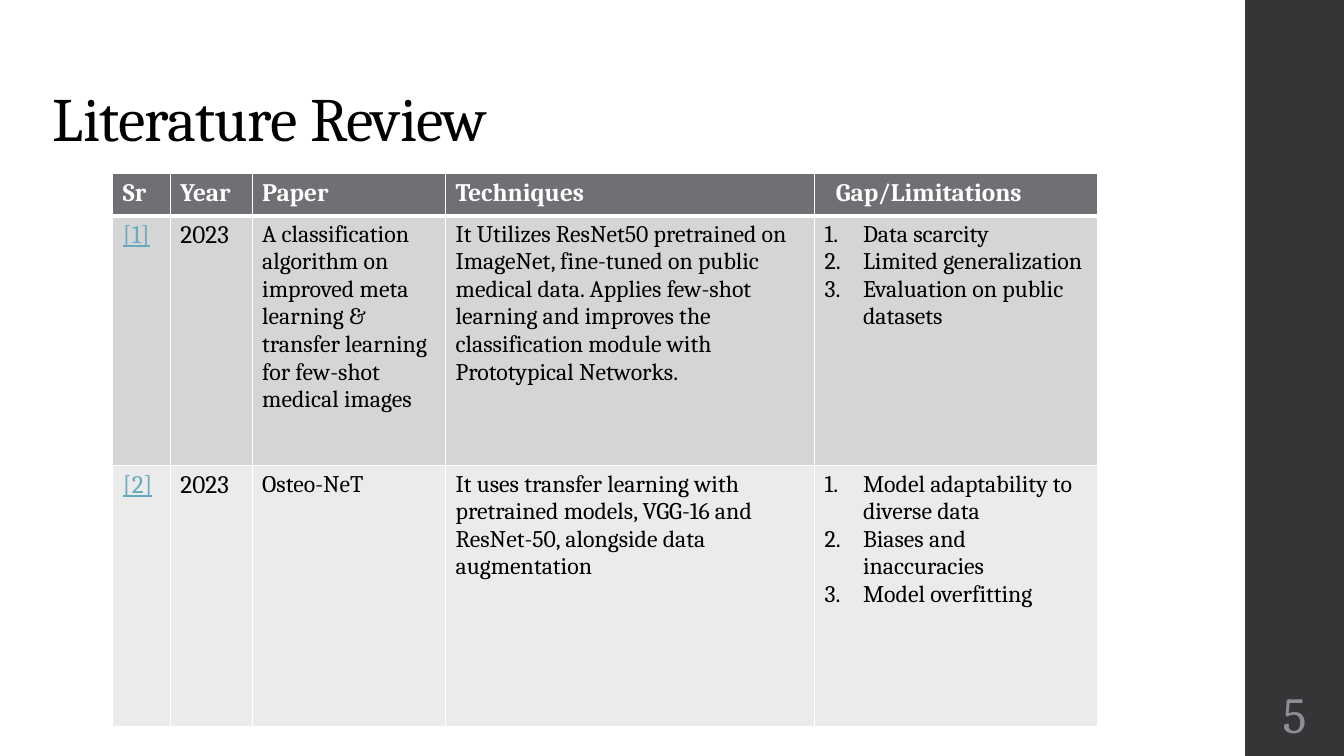
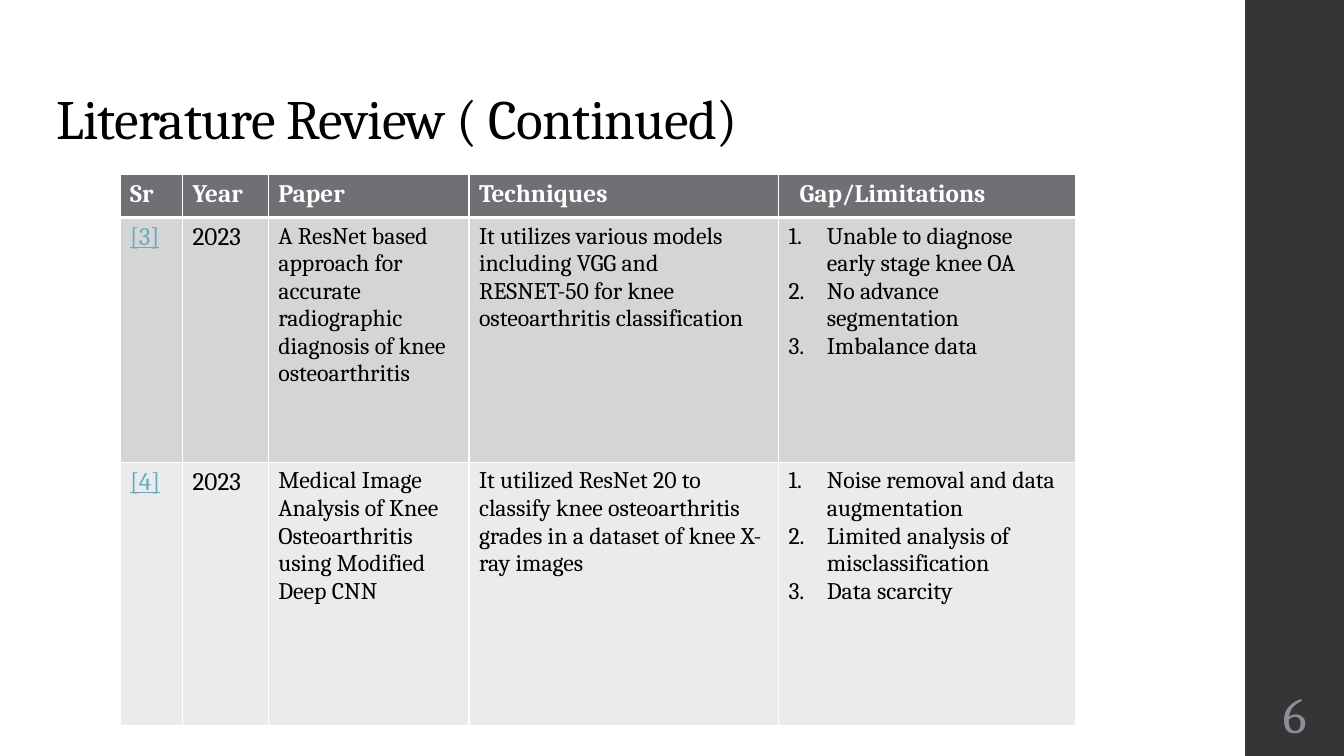
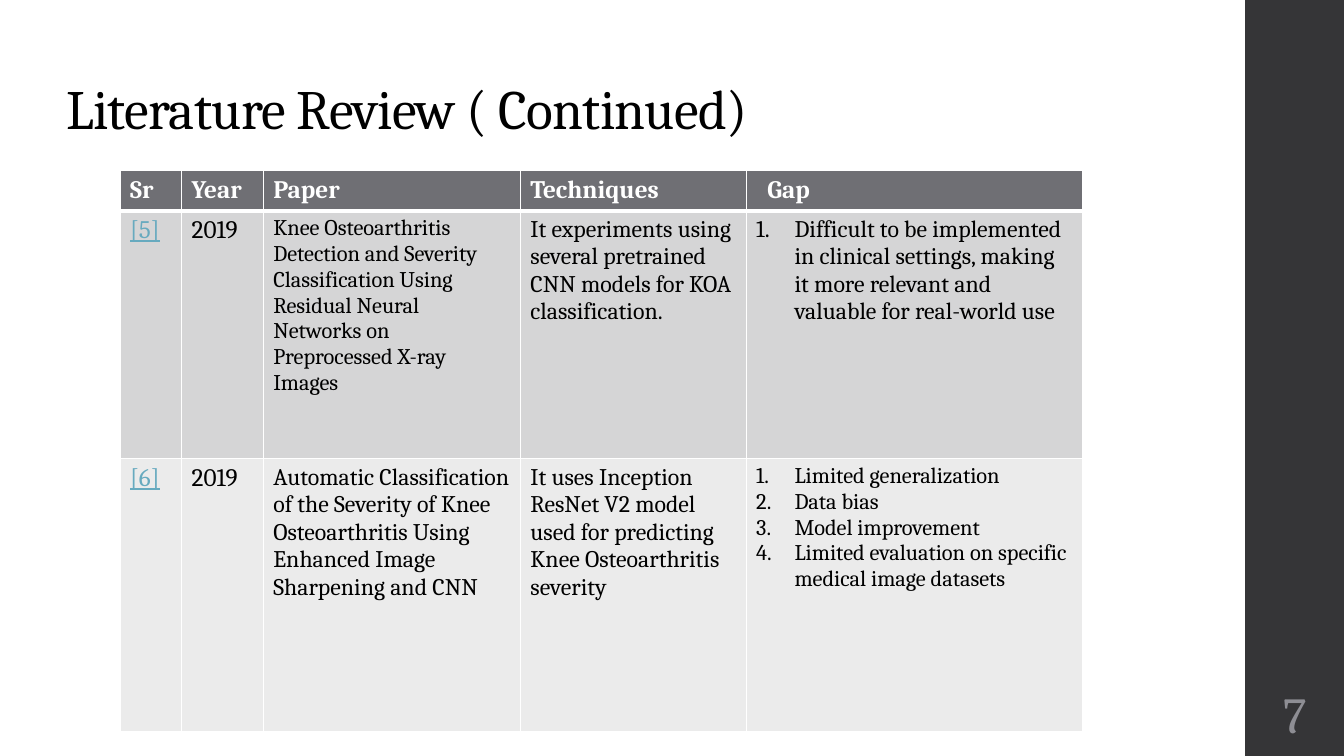
from lxml.etree import SubElement
from pptx import Presentation
from pptx.dml.color import RGBColor
from pptx.enum.shapes import MSO_SHAPE
from pptx.enum.text import MSO_ANCHOR, PP_ALIGN
from pptx.oxml.ns import qn
from pptx.util import Inches, Pt

# Shared look
FONT = "Cambria"
BLACK, WHITE, BAND, PAGE_NUMBER, LINK = "000000", "FFFFFF", "353537", "8E8E94", "67AABF"
ROW_FILLS = ["6F6F74", "D5D5D6", "EBEBEB"]
HEADINGS = ["Sr", "Year", "Paper", "Techniques"]
SR, GAP = 0, 4
BAND_LEFT, BAND_WIDTH = 92.65, 7.35
TITLE_HEIGHT = 11.9
LIST_INDENT = Inches(0.38)

# Positions and sizes are percentages of the slide's width or height
SLIDES = [
    {
        "number": 5,
        "title": "Literature Review",
        "title_size": 44,
        "title_place": (3.2, 9.2, 59.3),
        "table_place": (8.4, 22.95),
        "columns": [4.28, 6.08, 14.4, 27.46, 21.08],
        "rows": [5.6, 33.07, 34.5],
        "small_cells": [],
        "gap_heading": "Gap/Limitations",
        "papers": [
            ["[1]", "2023",
             "A classification algorithm on improved meta learning & transfer learning "
             "for few-shot medical images",
             "It Utilizes ResNet50 pretrained on ImageNet, fine-tuned on public medical data. "
             "Applies few-shot learning and improves the classification module with "
             "Prototypical Networks.",
             "Data scarcity\nLimited generalization\nEvaluation on public datasets"],
            ["[2]", "2023", "Osteo-NeT",
             "It uses transfer learning with pretrained models, VGG-16 and ResNet-50, "
             "alongside data augmentation",
             "Model adaptability to diverse data\nBiases and inaccuracies\nModel overfitting"],
        ],
    },
    {
        "number": 6,
        "title": "Literature Review ( Continued)",
        "title_size": 39.6,
        "title_place": (3.45, 8.8, 63.5),
        "table_place": (8.93, 23.07),
        "columns": [4.65, 6.38, 14.93, 23.03, 22.13],
        "rows": [5.7, 32.4, 34.8],
        "small_cells": [],
        "gap_heading": "Gap/Limitations",
        "papers": [
            ["[3]", "2023",
             "A ResNet based approach for accurate radiographic diagnosis of knee osteoarthritis",
             "It utilizes various models including VGG and RESNET-50 for knee osteoarthritis "
             "classification",
             "Unable to diagnose early stage knee OA\nNo advance segmentation\nImbalance data"],
            ["[4]", "2023",
             "Medical Image Analysis of Knee Osteoarthritis using Modified Deep CNN",
             "It utilized ResNet 20 to classify knee osteoarthritis grades in a dataset of "
             "knee X-ray images",
             "Noise removal and data augmentation\nLimited analysis of misclassification\n"
             "Data scarcity"],
        ],
    },
    {
        "number": 7,
        "title": "Literature Review ( Continued)",
        "title_size": 39.6,
        "title_place": (4.2, 7.5, 62),
        "table_place": (8.93, 22.53),
        "columns": [4.58, 6.08, 19.13, 16.8, 25.06],
        "rows": [5.2, 32.8, 36.13],
        "small_cells": [(1, 2), (2, 4)],
        "gap_heading": "Gap",
        "papers": [
            ["[5]", "2019",
             "Knee Osteoarthritis Detection and Severity Classification Using Residual Neural "
             "Networks on Preprocessed X-ray Images",
             "It experiments using several pretrained CNN models for KOA classification.",
             "Difficult to be implemented in clinical settings, making it more relevant and "
             "valuable for real-world use"],
            ["[6]", "2019",
             "Automatic Classification of the Severity of Knee Osteoarthritis Using Enhanced "
             "Image Sharpening and CNN",
             "It uses Inception ResNet V2 model used for predicting Knee Osteoarthritis severity",
             "Limited generalization\nData bias\nModel improvement\n"
             "Limited evaluation on specific medical image datasets"],
        ],
    },
]

presentation = Presentation()
presentation.slide_width = Inches(13.33)
presentation.slide_height = Inches(7.5)


def place(left, top, width, height):
    """Turn percentages of the slide into lengths."""
    across, down = presentation.slide_width / 100, presentation.slide_height / 100
    return round(left * across), round(top * down), round(width * across), round(height * down)


def style(text_frame, size, color, bold=False, underline=False):
    for paragraph in text_frame.paragraphs:
        for run in paragraph.runs:
            run.font.name = FONT
            run.font.size = Pt(size)
            run.font.bold = bold
            run.font.underline = underline
            run.font.color.rgb = RGBColor.from_string(color)


for content in SLIDES:
    slide = presentation.slides.add_slide(presentation.slide_layouts[6])

    # Side band
    band = slide.shapes.add_shape(MSO_SHAPE.RECTANGLE, *place(BAND_LEFT, 0, BAND_WIDTH, 100))
    band.shadow.inherit = False
    band.fill.solid()
    band.fill.fore_color.rgb = RGBColor.from_string(BAND)
    band.line.fill.background()

    # Title
    title = slide.shapes.add_textbox(*place(*content["title_place"], TITLE_HEIGHT)).text_frame
    title.word_wrap = True
    title.vertical_anchor = MSO_ANCHOR.BOTTOM
    title.text = content["title"]
    title.paragraphs[0].line_spacing = 0.9
    style(title, content["title_size"], BLACK)
    title.paragraphs[0].runs[0].font._element.set("spc", "-50")

    # Table grid
    columns, rows = content["columns"], content["rows"]
    table = slide.shapes.add_table(
        len(rows), len(columns), *place(*content["table_place"], sum(columns), sum(rows))).table
    for column, share in zip(table.columns, columns):
        column.width = place(0, 0, share, 0)[2]
    for row, share in zip(table.rows, rows):
        row.height = place(0, 0, 0, share)[3]

    # Table cells
    records = [HEADINGS + [content["gap_heading"]]] + content["papers"]
    for row_index, record in enumerate(records):
        for column_index, text in enumerate(record):
            cell = table.cell(row_index, column_index)
            cell.text_frame.text = text

            # White borders, thick below the heading row
            properties = cell._tc.get_or_add_tcPr()
            thick_side = {0: "lnB", 1: "lnT"}.get(row_index)
            for side in ("lnL", "lnR", "lnT", "lnB"):
                width = Pt(3 if side == thick_side else 1)
                border = SubElement(properties, qn(f"a:{side}"), w=str(width))
                SubElement(SubElement(border, qn("a:solidFill")), qn("a:srgbClr"), val=WHITE)
            cell.fill.solid()
            cell.fill.fore_color.rgb = RGBColor.from_string(ROW_FILLS[row_index])

            # Text by row and column
            if row_index == 0:
                style(cell.text_frame, 18, WHITE, bold=True)
                if column_index == GAP:
                    cell.margin_left = Inches(0.21)
            elif column_index == SR:
                style(cell.text_frame, 18, LINK, underline=True)
            elif column_index == SR + 1:
                style(cell.text_frame, 18, BLACK)
            else:
                small = (row_index, column_index) in content["small_cells"]
                style(cell.text_frame, 16 if small else 17, BLACK)

            # Numbered limitations
            if row_index > 0 and column_index == GAP:
                for paragraph in cell.text_frame.paragraphs:
                    numbering = paragraph._p.get_or_add_pPr()
                    numbering.set("marL", str(LIST_INDENT))
                    numbering.set("indent", str(-LIST_INDENT))
                    SubElement(numbering, qn("a:buFont"), typeface=FONT)
                    SubElement(numbering, qn("a:buAutoNum"), type="arabicPeriod")

    # Page number
    number = slide.shapes.add_textbox(*place(BAND_LEFT, 90, BAND_WIDTH, 8.67)).text_frame
    number.word_wrap = True
    number.vertical_anchor = MSO_ANCHOR.MIDDLE
    number.margin_left = number.margin_right = Inches(0.05)
    number.text = str(content["number"])
    number.paragraphs[0].alignment = PP_ALIGN.CENTER
    style(number, 36, PAGE_NUMBER)

presentation.save("out.pptx")
